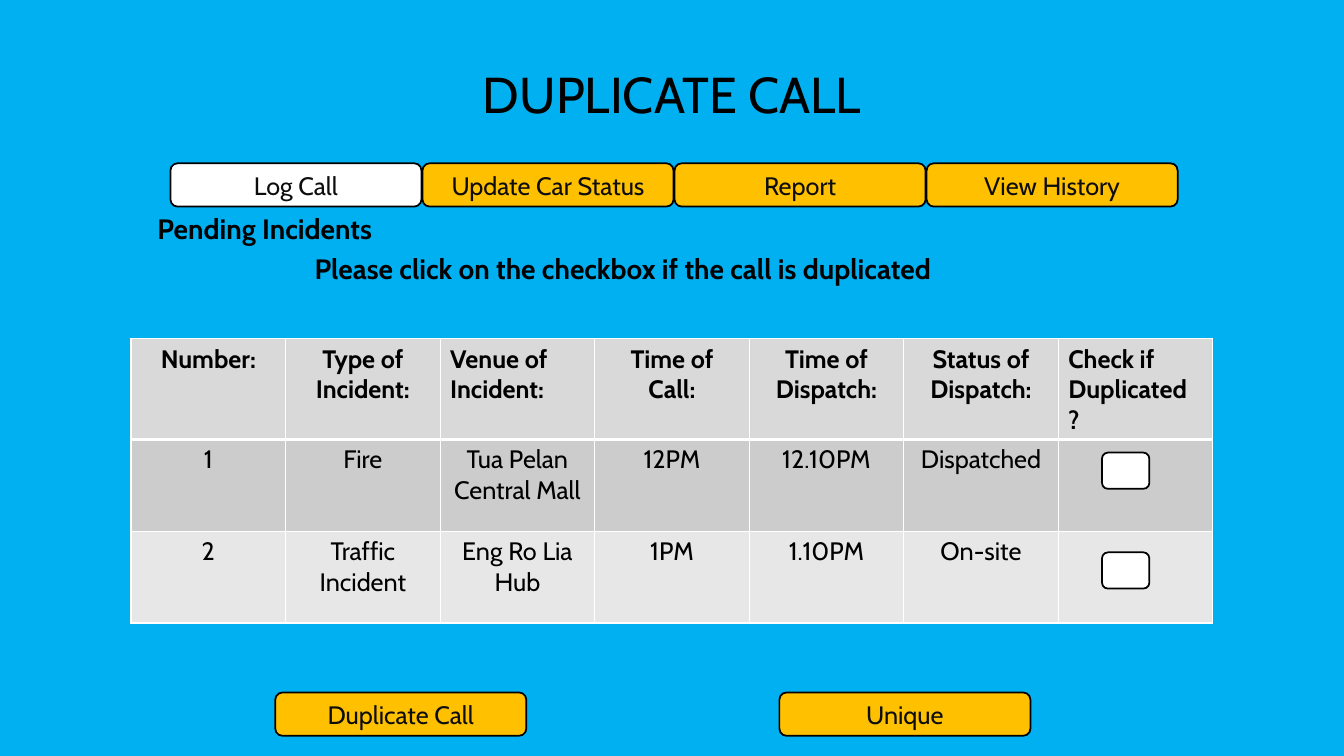
"""Build the duplicate call screen of an incident dispatch system."""
from dataclasses import dataclass

from lxml import etree
from pptx import Presentation
from pptx import util as u
from pptx.dml.color import RGBColor
from pptx.enum import shapes, text
from pptx.oxml.ns import qn


@dataclass(frozen=True)
class Theme:
    """Colours, font and type sizes of the slide."""
    font: str = "Cabin"
    background: str = "00B0F0"
    ink: str = "000000"
    button_ink: str = "0D0D0D"
    button: str = "FFC000"
    white: str = "FFFFFF"
    row_fills: tuple = ("D9D9D9", "CCCCCC", "E7E7E7")
    title_size: int = 36
    label_size: int = 20
    body_size: int = 18
    outline: float = 1.25


THEME = Theme()
BUTTON_WIDTH, BUTTON_HEIGHT = 2.49, 0.43
TABS = ("Log Call", "Update Car Status", "Report", "View History")
ACTIONS = ("Duplicate Call", "Unique")
INCIDENTS = (
    ("Number:", "Type of Incident:", "Venue of Incident:", "Time of Call:",
     "Time of Dispatch:", "Status of Dispatch:", "Check if Duplicated ?"),
    ("1", "Fire", "Tua Pelan Central Mall", "12PM", "12.10PM", "Dispatched", ""),
    ("2", "Traffic Incident", "Eng Ro Lia Hub", "1PM", "1.10PM", "On-site", ""),
)
ROW_HEIGHTS = (0.99, 0.91, 0.91)
LEFT_HEADINGS = (2, 6)


def paint(fill, color):
    """Give a fill one solid colour."""
    fill.solid()
    fill.fore_color.rgb = RGBColor.from_string(color)


def write(frame, words, size, color=THEME.ink, bold=False, align=text.PP_ALIGN.CENTER):
    """Write one styled paragraph and return it."""
    frame.word_wrap = True
    para = frame.paragraphs[0]
    para.text = words
    para.alignment = align
    para.font.size = u.Pt(size)
    for span in para.runs:
        span.font.name = THEME.font
        span.font.size = u.Pt(size)
        span.font.bold = bold
        span.font.color.rgb = RGBColor.from_string(color)
    return para


def add_label(page, words, left, top, width, height, size, bold=True):
    """Add a centred text box and return its text frame."""
    box = page.shapes.add_textbox(*map(u.Inches, (left, top, width, height)))
    write(box.text_frame, words, size, bold=bold)
    return box.text_frame


def add_box(page, left, top, width, height, fill):
    """Add an outlined rounded box."""
    box = page.shapes.add_shape(shapes.MSO_SHAPE.ROUNDED_RECTANGLE,
                                *map(u.Inches, (left, top, width, height)))
    box.shadow.inherit = False
    paint(box.fill, fill)
    paint(box.line.fill, THEME.ink)
    box.line.width = u.Pt(THEME.outline)
    return box


def add_button(page, words, left, top, fill=THEME.button):
    """Add a rounded button with a centred caption."""
    box = add_box(page, left, top, BUTTON_WIDTH, BUTTON_HEIGHT, fill)
    box.text_frame.vertical_anchor = text.MSO_ANCHOR.MIDDLE
    write(box.text_frame, words, THEME.body_size, THEME.button_ink)


def set_border(cell, side, points):
    """Draw one white cell border."""
    properties = cell._tc.get_or_add_tcPr()
    line = etree.SubElement(properties, qn(f"a:ln{side}"), w=str(u.Pt(points)))
    solid = etree.SubElement(line, qn("a:solidFill"))
    etree.SubElement(solid, qn("a:srgbClr"), val=THEME.white)


def add_incident_table(page):
    """Add the table of pending incidents."""
    frame = page.shapes.add_table(
        len(INCIDENTS), len(INCIDENTS[0]), u.Inches(1.3), u.Inches(3.36),
        u.Inches(10.73), u.Inches(sum(ROW_HEIGHTS)))
    table = frame.table
    for r, record in enumerate(INCIDENTS):
        table.rows[r].height = u.Inches(ROW_HEIGHTS[r])
        heading = r == 0
        borders = {"L": 1, "R": 1, "T": 3 if r == 1 else 1, "B": 3 if heading else 1}
        for c, words in enumerate(record):
            cell = table.cell(r, c)
            for side, points in borders.items():
                set_border(cell, side, points)
            paint(cell.fill, THEME.row_fills[r])
            left = heading and c in LEFT_HEADINGS
            align = text.PP_ALIGN.LEFT if left else text.PP_ALIGN.CENTER
            write(cell.text_frame, words, THEME.body_size, bold=heading, align=align)


def main():
    """Build and save the slide."""
    deck = Presentation()
    deck.slide_width, deck.slide_height = u.Inches(13.33), u.Inches(7.5)
    page = deck.slides.add_slide(deck.slide_layouts[6])
    paint(page.background.fill, THEME.background)

    title = add_label(page, "DUPLICATE CALL", 1, 0.09, 11.33, 1.75,
                      THEME.title_size, bold=False)
    title.vertical_anchor = text.MSO_ANCHOR.MIDDLE
    title.paragraphs[0].line_spacing = 0.9
    add_label(page, "Pending Incidents", 0.75, 2.05, 3.75, 0.44, THEME.label_size)
    add_label(page, "Please click on the checkbox if the call is duplicated",
              0.63, 2.45, 11.1, 0.44, THEME.label_size)

    add_incident_table(page)
    for top in (4.49, 5.48):
        add_box(page, 10.93, top, 0.47, 0.36, THEME.white)
    for i, words in enumerate(ACTIONS):
        add_button(page, words, 2.73 + 5 * i, 6.87)
    for i, words in enumerate(TABS):
        fill = THEME.white if i == 0 else THEME.button
        add_button(page, words, 1.69 + 2.5 * i, 1.62, fill)

    deck.save("out.pptx")


if __name__ == "__main__":
    main()
